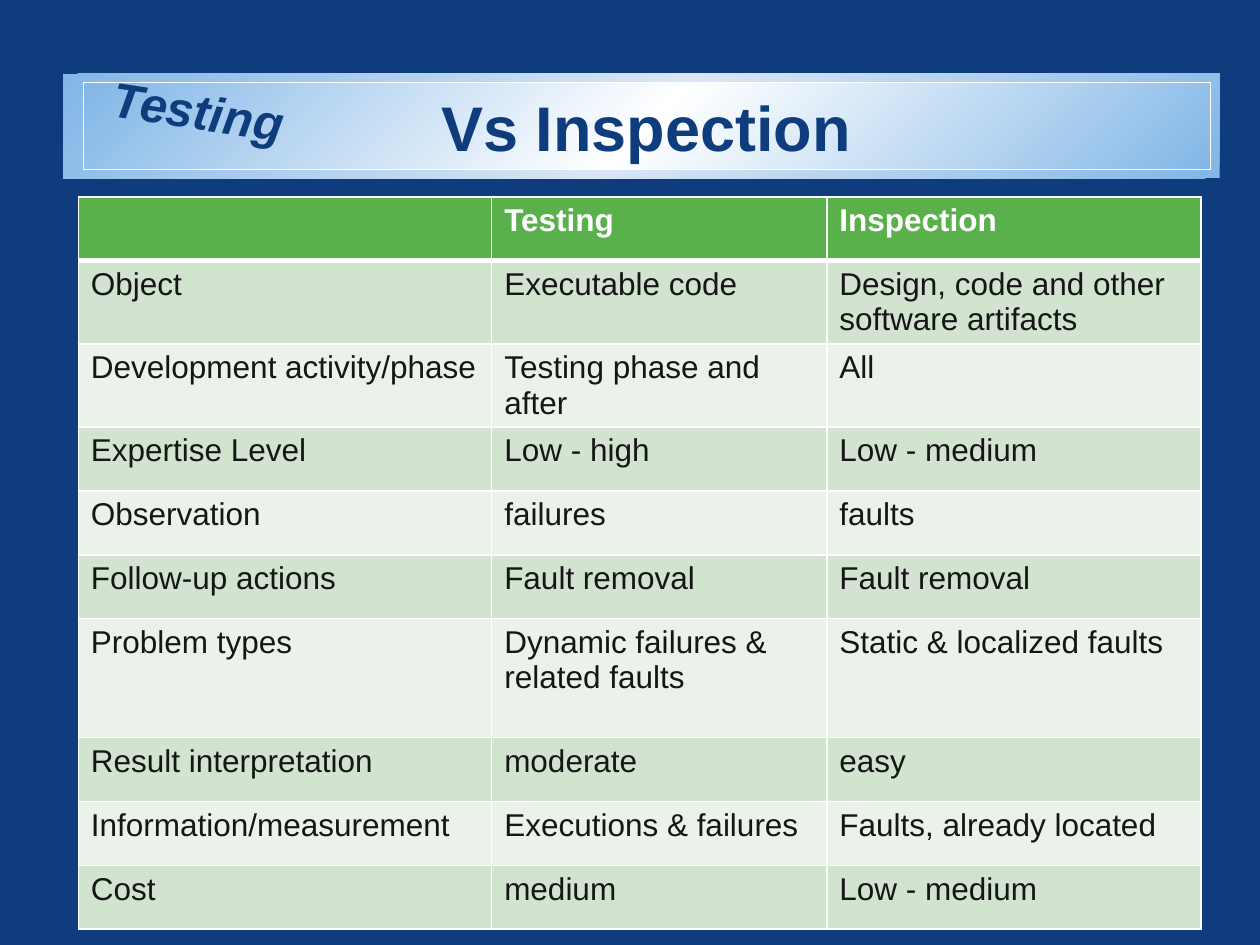
from copy import deepcopy

from pptx import Presentation
from pptx.dml.color import RGBColor
from pptx.enum.shapes import MSO_SHAPE
from pptx.enum.text import MSO_ANCHOR, PP_ALIGN
from pptx.oxml import parse_xml
from pptx.oxml.ns import nsdecls, qn
from pptx.util import Pt

RECT = MSO_SHAPE.RECTANGLE
CENTER, LEFT = PP_ALIGN.CENTER, PP_ALIGN.LEFT
MIDDLE = MSO_ANCHOR.MIDDLE
FONT = "Arial"
NAVY, SKY, PALE, WHITE = "0F3C7D", "83B7E7", "D9E6F6", "FFFFFF"
GREEN, BANDS, INK = "5AB14B", ("D2E4D0", "EAF2E9"), "161616"
COLUMNS = (236.2, 191.5, 213.8)
ROW_HEIGHT = 36.5
TALL_ROWS = {1: 47.5, 2: 47.5, 6: 68}
ROWS = (
    ("", "Testing", "Inspection"),
    ("Object", "Executable code", "Design, code and other software artifacts"),
    ("Development activity/phase", "Testing phase and after", "All"),
    ("Expertise Level", "Low - high", "Low - medium"),
    ("Observation", "failures", "faults"),
    ("Follow-up actions", "Fault removal", "Fault removal"),
    ("Problem types", "Dynamic failures & related faults", "Static & localized faults"),
    ("Result interpretation", "moderate", "easy"),
    ("Information/measurement", "Executions & failures", "Faults, already located"),
    ("Cost", "medium", "Low - medium"),
)


def rgb(value):
    """Turn a hex string into a colour."""
    return RGBColor.from_string(value)


def write(tf, text, size, colour, bold=False, italic=False, align=LEFT):
    """Put one formatted paragraph in a text frame."""
    tf.text = text
    p = tf.paragraphs[0]
    p.alignment = align
    font = p.font
    font.name, font.size, font.bold, font.italic = FONT, Pt(size), bold, italic
    font.color.rgb = rgb(colour)


def add_band(slide, left, top, width, height, middle, outline=None):
    """Add a rectangle with a diagonal gradient that is lit in the middle."""
    s = slide.shapes.add_shape(RECT, Pt(left), Pt(top), Pt(width), Pt(height))
    s.shadow.inherit = False
    s.fill.gradient()
    s.fill.gradient_angle = 315
    stops = s._element.spPr.find(".//" + qn("a:gsLst"))
    stops.append(deepcopy(stops[0]))
    for stop, position, colour in zip(s.fill.gradient_stops, (0, 0.5, 1), (SKY, middle, SKY)):
        stop.position = position
        stop.color.rgb = rgb(colour)
    if outline:
        s.line.color.rgb = rgb(outline)
        s.line.width = Pt(0.5)
    else:
        s.line.fill.background()


def add_tilted_label(slide, text):
    """Add the slanted word at the left of the title band."""
    s = slide.shapes.add_textbox(Pt(53.3), Pt(42.5), Pt(120.2), Pt(41))
    s.rotation = 8.7
    s.text_frame.word_wrap = True
    write(s.text_frame, text, 28, NAVY, True, True, CENTER)


def set_title(slide, text):
    """Place the title in front of the band."""
    s = slide.shapes.title
    s.left, s.top, s.width, s.height = Pt(66.2), Pt(54), Pt(606.2), Pt(36)
    s.text_frame.vertical_anchor = MIDDLE
    write(s.text_frame, text, 36, NAVY, True, align=CENTER)
    slide.shapes._spTree.append(s._element)


def set_borders(cell, top, bottom):
    """Give a cell white borders, with its own top and bottom widths in points."""
    tc_pr = cell._tc.get_or_add_tcPr()
    for i, (side, width) in enumerate((("L", 1), ("R", 1), ("T", top), ("B", bottom))):
        tc_pr.insert(i, parse_xml(
            f'<a:ln{side} {nsdecls("a")} w="{Pt(width)}"><a:solidFill>'
            f'<a:srgbClr val="{WHITE}"/></a:solidFill></a:ln{side}>'))


def add_comparison(slide):
    """Add the banded comparison table."""
    heights = [TALL_ROWS.get(i, ROW_HEIGHT) for i in range(len(ROWS))]
    table = slide.shapes.add_table(len(ROWS), len(COLUMNS), Pt(44.8), Pt(112.5),
                                   Pt(sum(COLUMNS)), Pt(sum(heights))).table
    for column, width in zip(table.columns, COLUMNS):
        column.width = Pt(width)
    for i, (row, texts) in enumerate(zip(table.rows, ROWS)):
        row.height = Pt(heights[i])
        header = i == 0
        for cell, text in zip(row.cells, texts):
            write(cell.text_frame, text, 18, WHITE if header else INK, header)
            cell.fill.solid()
            cell.fill.fore_color.rgb = rgb(GREEN if header else BANDS[(i - 1) % 2])
            set_borders(cell, 3 if i == 1 else 1, 3 if header else 1)


def main():
    """Build the slide and save it."""
    prs = Presentation()
    prs.slide_width, prs.slide_height = Pt(720), Pt(540)
    slide = prs.slides.add_slide(prs.slide_layouts[5])
    slide.background.fill.solid()
    slide.background.fill.fore_color.rgb = rgb(NAVY)
    add_band(slide, 36, 42, 661, 60, PALE)
    add_band(slide, 48, 47.3, 643.7, 49.7, WHITE, WHITE)
    add_tilted_label(slide, "Testing")
    set_title(slide, "Vs Inspection")
    add_comparison(slide)
    prs.save("out.pptx")


main()
